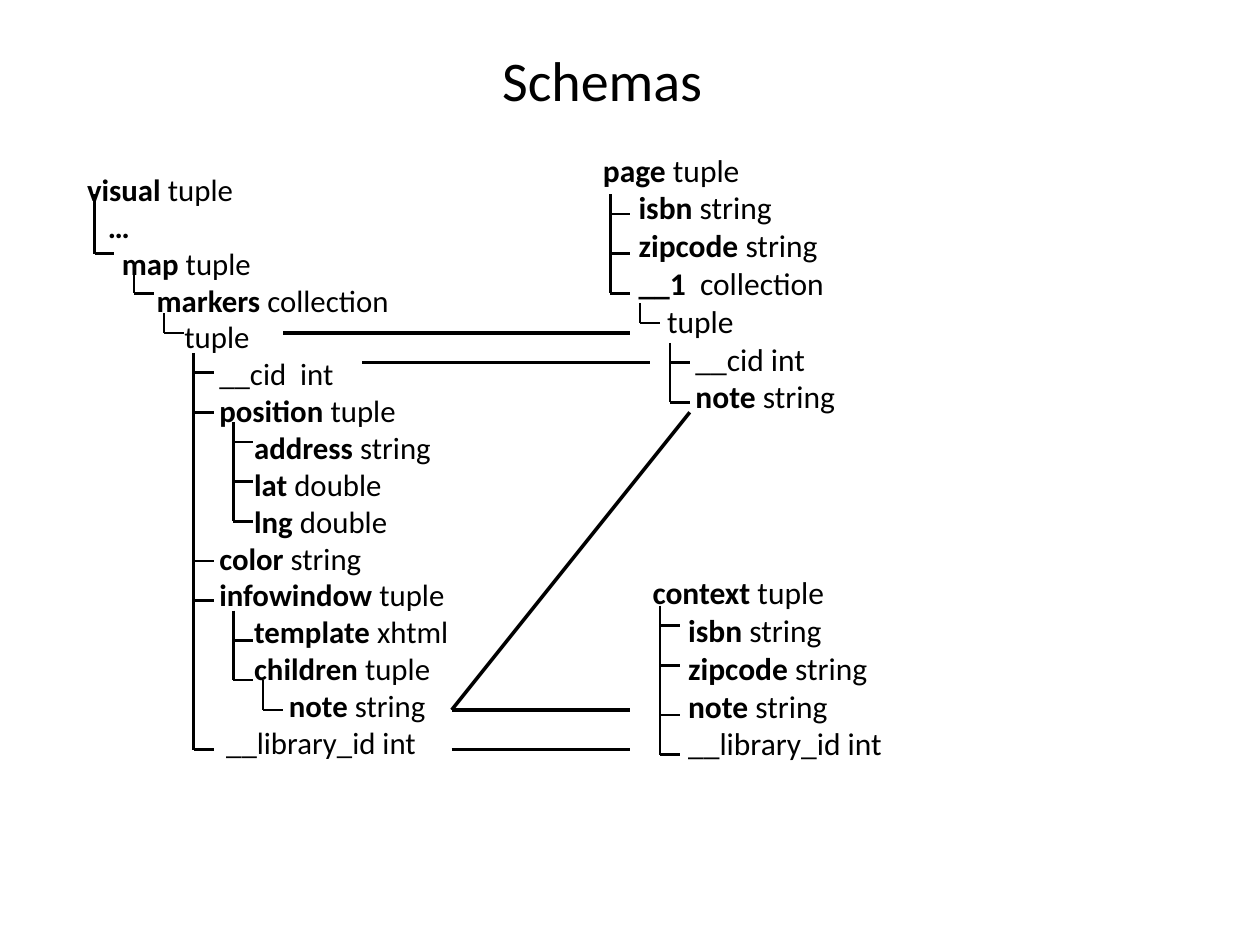
from dataclasses import dataclass

from lxml.etree import SubElement
from pptx import Presentation
from pptx.dml.color import RGBColor
from pptx.enum.shapes import MSO_CONNECTOR
from pptx.enum.text import MSO_ANCHOR, PP_ALIGN
from pptx.oxml.ns import qn
from pptx.slide import Slide
from pptx.util import Cm, Inches, Pt

COLORS = {"ink": "000000", "paper": "FFFFFF"}


@dataclass
class SchemaSlide:
    """Style and current slide; diagram lengths are columns and rows of a grid."""
    slide: Slide
    width: int
    height: int
    font: str = "Calibri"
    cell: int = Cm(0.2)
    left: int = Inches(0.75)
    top: int = Inches(1.54)
    tick: int = 2

    def color(self, name):
        return RGBColor.from_string(COLORS[name])

    def point(self, col, row):
        return round(self.left + col * self.cell), round(self.top + row * self.cell)

    def background(self, name):
        fill = self.slide.background.fill
        fill.solid()
        fill.fore_color.rgb = self.color(name)

    def run(self, paragraph, text, size, bold=False):
        run = paragraph.add_run()
        run.text = text
        run.font.name, run.font.size, run.font.bold = self.font, Pt(size), bold
        run.font.color.rgb = self.color("ink")

    def title(self, text, x, y, w, h, size=32):
        heading = self.slide.shapes.title
        heading.left, heading.top = round(x * self.width), round(y * self.height)
        heading.width, heading.height = round(w * self.width), round(h * self.height)
        heading.text_frame.vertical_anchor = MSO_ANCHOR.MIDDLE
        paragraph = heading.text_frame.paragraphs[0]
        paragraph.alignment = PP_ALIGN.CENTER
        self.run(paragraph, text, size)

    def schema(self, col, row, cols, rows, fields, size=18, pitch=21.6, inset=0.05):
        """Fields are (indent in space widths, bold name, plain type)."""
        box = self.slide.shapes.add_textbox(
            *self.point(col, row), round(cols * self.cell), round(rows * self.cell))
        frame = box.text_frame
        frame.word_wrap = True
        frame.margin_top = Inches(inset)
        for index, (indent, name, kind) in enumerate(fields):
            paragraph = frame.add_paragraph() if index else frame.paragraphs[0]
            space = Pt(size * 0.226)
            paragraph._p.get_or_add_pPr().set("marL", str(indent * space))
            paragraph.line_spacing = Pt(pitch)
            if name:
                self.run(paragraph, name, size, bold=True)
            if kind:
                self.run(paragraph, kind, size)

    def line(self, start, end, weight):
        connector = self.slide.shapes.add_connector(
            MSO_CONNECTOR.STRAIGHT, *self.point(*start), *self.point(*end))
        connector.line.color.rgb = self.color("ink")
        connector.line.width = Pt(weight)
        SubElement(connector._element.spPr, qn("a:effectLst"))

    def branch(self, col, row, *ticks):
        """A stem down to the last tick, with a tick for each child."""
        self.line((col, row), (col, ticks[-1]), 1.5)
        for tick in ticks:
            self.line((col, tick), (col + self.tick, tick), 1.5)


PAGE = [
    (0, "page ", "tuple"),
    (5, "isbn", " string"),
    (5, "zipcode", " string"),
    (5, "__1  ", "collection"),
    (9, "", "tuple"),
    (13, "", "__cid int"),
    (13, "note ", "string"),
]
VISUAL = [
    (0, "visual ", "tuple"),
    (3, "…", ""),
    (5, "map ", "tuple"),
    (10, "markers ", "collection"),
    (14, "", "tuple"),
    (19, "", "__cid  int"),
    (19, "position ", "tuple"),
    (24, "address ", "string"),
    (24, "lat ", "double"),
    (24, "lng ", "double"),
    (19, "color ", "string"),
    (19, "infowindow ", "tuple"),
    (24, "template ", "xhtml"),
    (24, "children ", "tuple"),
    (29, "note ", "string"),
    (20, "", "__library_id int"),
]
CONTEXT = [
    (0, "context ", "tuple"),
    (5, "isbn", " string"),
    (5, "zipcode", " string"),
    (5, "note", " string"),
    (5, "", "__library_id int"),
]
# Column of the stem, its top row, then the rows of its children
BRANCHES = [
    (0, 0, 6), (4, 8, 10), (7, 12, 14),
    (10, 16, 18, 22, 37, 41, 56),
    (14, 23, 25, 29, 33), (14, 42, 45, 49), (17, 49, 52),
    (52, 0, 2, 6, 10), (55, 11, 13), (58, 15, 17, 21),
    (57, 41.5, 43.5, 47.5, 52.5, 56.5),
]
MAPPINGS = [
    ((19, 14), (54, 14)),
    ((27, 17), (56, 17)),
    ((36, 52), (60, 22)),
    ((36, 52), (54, 52)),
    ((36, 56), (54, 56)),
]


def main():
    deck = Presentation()
    deck.slide_width, deck.slide_height = Inches(10), Inches(7.5)
    page = SchemaSlide(deck.slides.add_slide(deck.slide_layouts[5]),
                       deck.slide_width, deck.slide_height)
    page.background("paper")
    page.title("Schemas", 0.028, 0, 0.9, 1 / 6)

    # Schema trees
    page.schema(50, -5, 56, 32, PAGE)
    page.schema(-2, -5, 114, 80, VISUAL, size=17.6, pitch=21.07, inset=0.21)
    page.schema(55, 37.6, 56, 20.6, CONTEXT)

    # Tree branches
    for branch in BRANCHES:
        page.branch(*branch)

    # Mappings between schemas
    for start, end in MAPPINGS:
        page.line(start, end, 2)

    deck.save("out.pptx")


if __name__ == "__main__":
    main()
